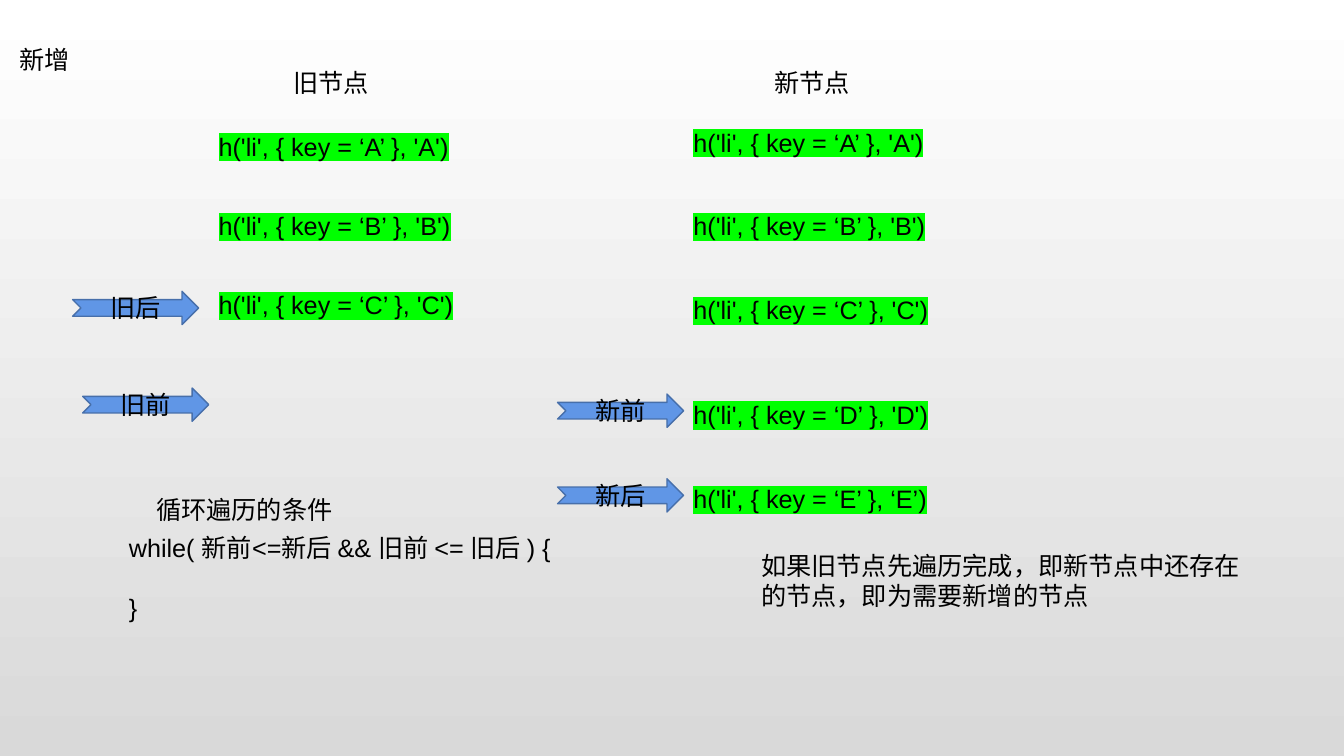
from lxml import etree
from pptx import Presentation
from pptx.dml.color import RGBColor
from pptx.enum import shapes, text
from pptx.oxml import ns
from pptx.util import Inches, Pt

BLACK = RGBColor(0x00, 0x00, 0x00)
WHITE = RGBColor(0xFF, 0xFF, 0xFF)
GREY = RGBColor(0xD9, 0xD9, 0xD9)
BLUE = RGBColor(0x60, 0x96, 0xE6)
DARK_BLUE = RGBColor(0x47, 0x6F, 0xAA)
GREEN = RGBColor(0x00, 0xFF, 0x00)

HEADING = "新增"
# Column left, then (node text, top) pairs
NODE_COLUMNS = [
    (2.07, [("h('li', { key = ‘A’ }, 'A')", 1.25),
            ("h('li', { key = ‘B’ }, 'B')", 2.04),
            ("h('li', { key = ‘C’ }, 'C')", 2.82)]),
    (6.78, [("h('li', { key = ‘A’ }, 'A')", 1.21),
            ("h('li', { key = ‘B’ }, 'B')", 2.04),
            ("h('li', { key = ‘C’ }, 'C')", 2.87),
            ("h('li', { key = ‘D’ }, 'D')", 3.91),
            ("h('li', { key = ‘E’ }, ‘E’)", 4.75)]),
]
# Pointer name, left, top
POINTERS = [
    ("旧前", 0.82, 3.85),
    ("旧后", 0.72, 2.89),
    ("新后", 5.53, 4.75),
    ("新前", 5.53, 3.91),
]
# Paragraphs, box (left, top, width, height)
NOTES = [
    (["旧节点"], (2.81, 0.62, 4.44, 0.5)),
    (["新节点"], (7.58, 0.62, 4.44, 0.5)),
    (["循环遍历的条件"], (1.45, 4.86, 4.44, 0.4)),
    (["while( 新前<=新后 && 旧前 <= 旧后 ) {", "}"], (1.18, 5.23, 4.64, 1.3)),
    (["如果旧节点先遍历完成，即新节点中还存在的节点，即为需要新增的节点"],
     (7.45, 5.41, 4.99, 0.85)),
]
NODE_SIZE = (3.46, 0.37)
POINTER_SIZE = (1.25, 0.33)
LOOP_BODY_GAP = Pt(21.5)


def write(shape, lines, align=text.PP_ALIGN.LEFT, anchor=text.MSO_ANCHOR.TOP):
    """Fill a shape with black 18 pt Arial paragraphs."""
    frame = shape.text_frame
    frame.text = "\n".join(lines)
    frame.word_wrap = True
    frame.auto_size = text.MSO_AUTO_SIZE.NONE
    frame.vertical_anchor = anchor
    for index, paragraph in enumerate(frame.paragraphs):
        paragraph.alignment = align
        paragraph.line_spacing = 1.0
        paragraph.space_before = LOOP_BODY_GAP if index else Pt(0)
        for run in paragraph.runs:
            run.font.name = "Arial"
            run.font.size = Pt(18)
            run.font.color.rgb = BLACK


def add_text(slide, lines, box):
    """Add a wrapped text box."""
    textbox = slide.shapes.add_textbox(*map(Inches, box))
    write(textbox, lines)
    return textbox


def highlight(textbox, color):
    """Mark every run of a text box with a highlight colour."""
    for paragraph in textbox.text_frame.paragraphs:
        for run in paragraph.runs:
            mark = etree.Element(ns.qn("a:highlight"))
            etree.SubElement(mark, ns.qn("a:srgbClr"), val=str(color))
            run.font._element.find(ns.qn("a:solidFill")).addnext(mark)


def add_pointer(slide, name, left, top):
    """Add a labelled arrow that points at a node."""
    arrow = slide.shapes.add_shape(
        shapes.MSO_SHAPE.NOTCHED_RIGHT_ARROW,
        *map(Inches, (left, top, *POINTER_SIZE)))
    arrow.shadow.inherit = False
    arrow.fill.solid()
    arrow.fill.fore_color.rgb = BLUE
    arrow.line.color.rgb = DARK_BLUE
    arrow.line.width = Pt(1)
    write(arrow, [name], text.PP_ALIGN.CENTER, text.MSO_ANCHOR.MIDDLE)


def set_background(slide):
    """Fade the background from white at the top to grey."""
    fill = slide.background.fill
    fill.gradient()
    fill.gradient_angle = 270
    for stop, color in zip(fill.gradient_stops, (WHITE, GREY)):
        stop.color.rgb = color


deck = Presentation()
deck.slide_width, deck.slide_height = Inches(13.33), Inches(7.5)
slide = deck.slides.add_slide(deck.slide_layouts[5])
set_background(slide)

heading = slide.shapes.title
heading.left, heading.top = Inches(0.09), Inches(0.39)
heading.width, heading.height = Inches(1.28), Inches(0.4)
write(heading, [HEADING])

for left, nodes in NODE_COLUMNS:
    for node, top in nodes:
        highlight(add_text(slide, [node], (left, top, *NODE_SIZE)), GREEN)
for pointer in POINTERS:
    add_pointer(slide, *pointer)
for lines, box in NOTES:
    add_text(slide, lines, box)

deck.save("out.pptx")
